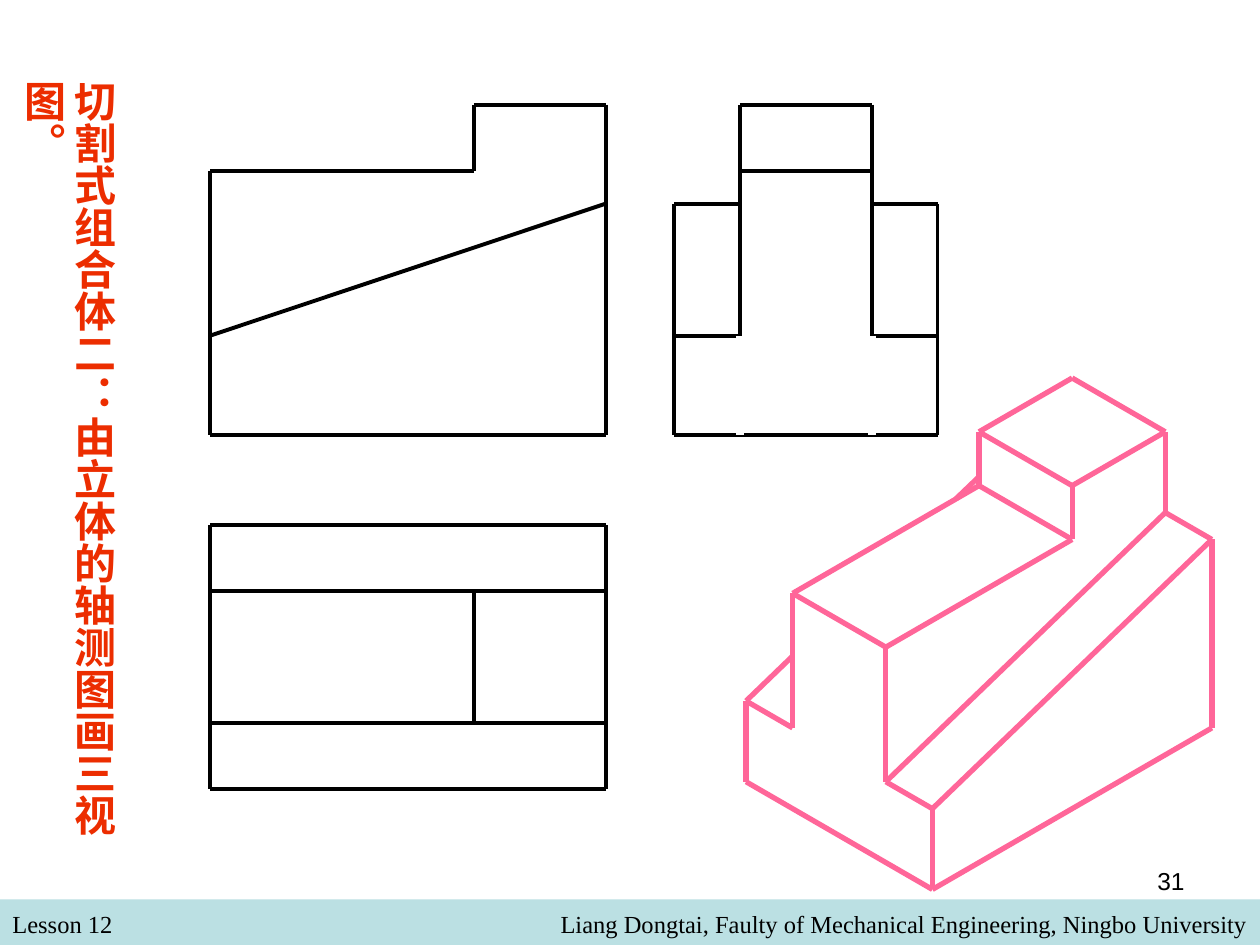
from itertools import pairwise

from lxml import etree
from pptx import Presentation
from pptx.dml.color import RGBColor
from pptx.enum.shapes import MSO_CONNECTOR, MSO_SHAPE
from pptx.enum.text import MSO_ANCHOR, MSO_AUTO_SIZE, PP_ALIGN
from pptx.oxml.ns import qn
from pptx.util import Cm, Pt

STRAIGHT = MSO_CONNECTOR.STRAIGHT
RECTANGLE = MSO_SHAPE.RECTANGLE
TOP = MSO_ANCHOR.TOP
NO_AUTOFIT = MSO_AUTO_SIZE.NONE
LEFT, RIGHT = PP_ALIGN.LEFT, PP_ALIGN.RIGHT

BLACK = RGBColor(0x00, 0x00, 0x00)
WHITE = RGBColor(0xFF, 0xFF, 0xFF)
PINK = RGBColor(0xFF, 0x66, 0x99)
RED = RGBColor(0xEC, 0x2D, 0x00)
PALE_TEAL = RGBColor(0xBB, 0xE0, 0xE3)

LENGTH, WIDTH, HEIGHT = 12, 8, 10

FRONT_CHAINS = [
    [(0, 3), (12, 7)],
    [(12, 7), (12, 0), (0, 0), (0, 3), (0, 8), (8, 8), (8, 10), (12, 10), (12, 7)],
]
SIDE_CHAINS = [
    [(2, 7), (0, 7), (0, 3), (0, 0), (8, 0), (8, 3), (8, 7), (6, 7)],
    [(0, 3), (2, 3)],
    [(6, 3), (8, 3)],
    [(2, 3), (2, 8), (2, 10), (6, 10), (6, 8), (6, 3)],
    [(2, 8), (6, 8)],
]
SIDE_GAPS = [[(2, 3), (2, 0)], [(6, 3), (6, 0)]]
PLAN_CHAINS = [
    [(0, 6), (0, 8), (12, 8), (12, 6), (12, 2), (12, 0), (0, 0), (0, 2), (0, 6)],
    [(0, 6), (8, 6), (12, 6)],
    [(0, 2), (8, 2), (12, 2)],
    [(8, 6), (8, 2)],
]
SOLID_CHAINS = [
    [(0, 0, 3), (12, 0, 7), (12, 0, 0), (0, 0, 0), (0, 0, 3), (0, 2, 3)],
    [(12, 0, 7), (12, 2, 7), (0, 2, 3), (0, 2, 8), (0, 6, 8), (0, 6, 3), (0, 8, 3)],
    [(0, 0, 0), (0, 8, 0), (0, 8, 3), (2, 8, 3.67)],
    [(9, 8, 6), (10, 8, 6.33)],
    [(12, 2, 7), (12, 2, 10), (12, 6, 10), (8, 6, 10), (8, 2, 10), (12, 2, 10)],
    [(8, 2, 10), (8, 2, 8), (8, 6, 8), (8, 6, 10)],
    [(0, 2, 8), (8, 2, 8)],
    [(0, 6, 8), (8, 6, 8)],
]


def add_edges(slide, chains, project, color, weight):
    """Draw one line for each step of every chain of projected points."""
    for chain in chains:
        for start, end in pairwise(map(project, chain)):
            edge = slide.shapes.add_connector(STRAIGHT, *start, *end)
            edge.line.color.rgb = color
            edge.line.width = Pt(weight)
            etree.SubElement(edge._element.spPr, qn("a:effectLst"))


def add_flat_view(slide, box, columns, rows, chains, gaps=()):
    """Draw an orthographic view on a grid counted from the box's lower left."""
    left, top, width, height = box

    def project(point):
        """Turn grid coordinates into slide coordinates."""
        across, up = point
        return round(left + width * across / columns), round(top + height * (1 - up / rows))

    add_edges(slide, chains, project, BLACK, 2.25)
    add_edges(slide, gaps, project, WHITE, 4.5)


def add_isometric_view(slide, box):
    """Draw the solid in isometric projection, filling the box."""
    left, top, width, height = box
    across_unit = width / (LENGTH + WIDTH)
    up_unit = height / (HEIGHT + (LENGTH + WIDTH - 2) / 2)

    def project(point):
        """Turn length, depth and height into slide coordinates."""
        along, depth, up = point
        across = left + (along - depth + WIDTH) * across_unit
        down = top + height - ((along + depth) / 2 + up) * up_unit
        return round(across), round(down)

    add_edges(slide, SOLID_CHAINS, project, PINK, 3)


def add_text_run(paragraph, text, size, font_name, color, bold=False):
    """Add one formatted run to a paragraph."""
    run = paragraph.add_run()
    run.text = text
    run.font.size = Pt(size)
    run.font.name = font_name
    run.font.color.rgb = color
    run.font.bold = bold


def add_label(slide, box, text, font_name, alignment):
    """Add a one-line text box."""
    text_frame = slide.shapes.add_textbox(*box).text_frame
    text_frame.word_wrap = True
    paragraph = text_frame.paragraphs[0]
    paragraph.alignment = alignment
    add_text_run(paragraph, text, 14, font_name, BLACK)


def add_footer(slide, box):
    """Draw the footer band with the lesson, the author and the page number."""
    left, top, width, height = box
    band = slide.shapes.add_shape(RECTANGLE, *box)
    band.shadow.inherit = False
    band.fill.solid()
    band.fill.fore_color.rgb = PALE_TEAL
    band.line.fill.background()
    label_top, label_height = top + Cm(0.08), Cm(0.86)
    author_left = left + Cm(4.65)
    add_label(slide, (left, label_top, Cm(12.27), label_height),
              "Lesson 12", "Times New Roman", LEFT)
    add_label(slide, (author_left, label_top, left + width - author_left, label_height),
              "Liang Dongtai, Faulty of Mechanical Engineering, Ningbo University",
              "Times New Roman", RIGHT)
    add_label(slide, (left + Cm(18.21), top - Cm(0.79), Cm(5.92), Cm(1.32)),
              "31", "Arial", RIGHT)


def fill_vertical_title(slide, box):
    """Set the title in vertical columns inside the box."""
    title = slide.shapes.title
    title.left, title.top, title.width, title.height = box
    text_frame = title.text_frame
    text_frame.word_wrap = True
    text_frame.auto_size = NO_AUTOFIT
    text_frame.vertical_anchor = TOP
    text_frame.margin_left = text_frame.margin_right = Cm(0.13)
    text_frame.margin_top, text_frame.margin_bottom = Cm(1.09), Cm(0.76)
    text_frame._txBody.bodyPr.set("vert", "eaVert")
    paragraph = text_frame.paragraphs[0]
    paragraph.alignment = LEFT
    add_text_run(paragraph, "切割式组合体二：由立体的轴测图画三视图。", 24, "Arial", RED, True)


def main():
    """Build the slide and save it."""
    presentation = Presentation()
    presentation.slide_width, presentation.slide_height = Cm(25.4), Cm(19.05)
    slide = presentation.slides.add_slide(presentation.slide_layouts[5])
    add_footer(slide, (Cm(0), Cm(18.13), Cm(25.4), Cm(0.92)))
    length, width, height = Cm(7.97), Cm(5.31), Cm(6.65)
    front_left, side_left = Cm(4.24), Cm(13.59)
    front_top, plan_top = Cm(2.11), Cm(10.59)
    add_flat_view(slide, (front_left, front_top, length, height), LENGTH, HEIGHT, FRONT_CHAINS)
    add_flat_view(slide, (side_left, front_top, width, height), WIDTH, HEIGHT,
                  SIDE_CHAINS, SIDE_GAPS)
    add_flat_view(slide, (front_left, plan_top, length, width), LENGTH, WIDTH, PLAN_CHAINS)
    add_isometric_view(slide, (Cm(15.04), Cm(7.62), Cm(9.39), Cm(10.31)))
    fill_vertical_title(slide, (Cm(0.25), Cm(0.53), Cm(2.29), Cm(17.4)))
    presentation.save("out.pptx")


if __name__ == "__main__":
    main()
